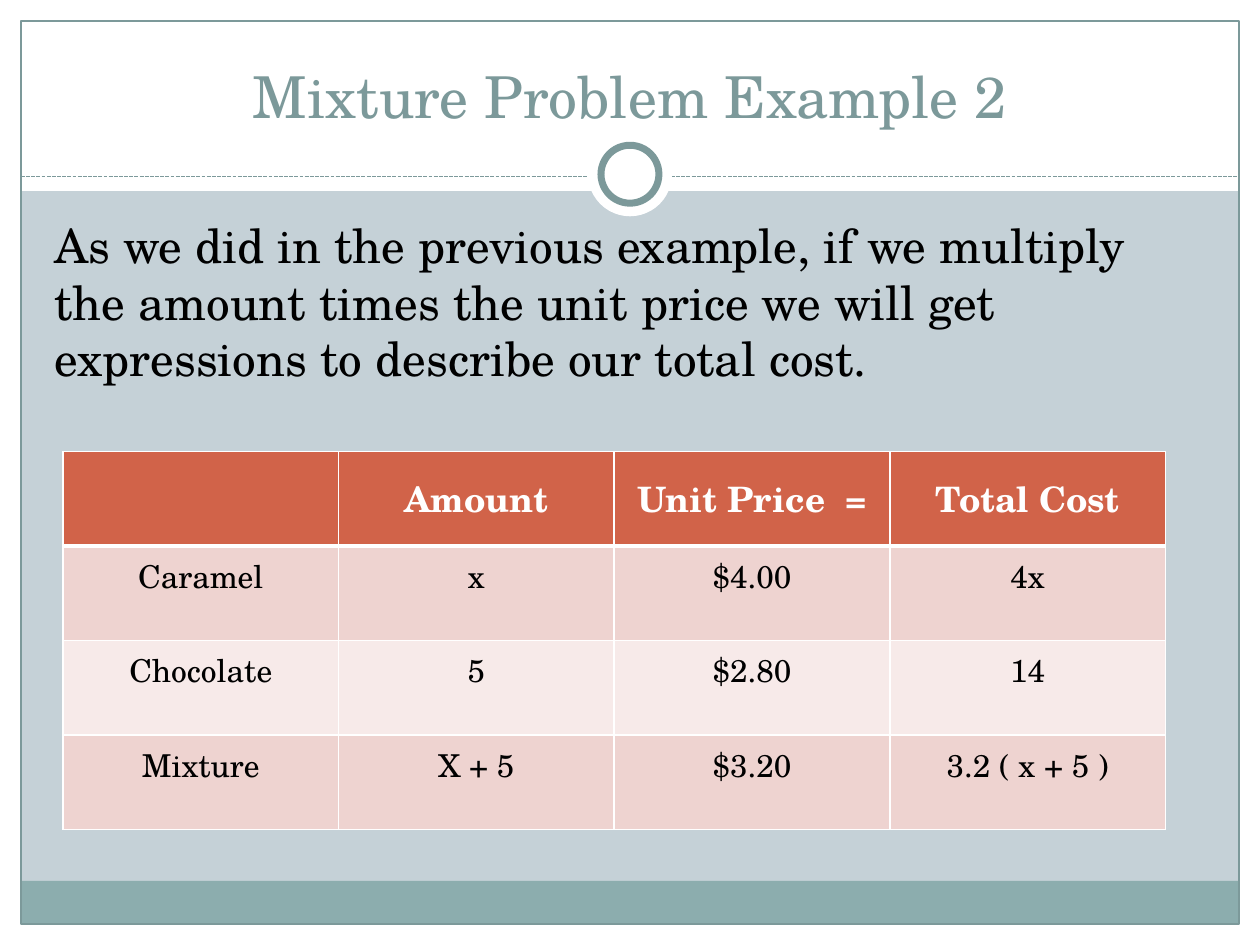
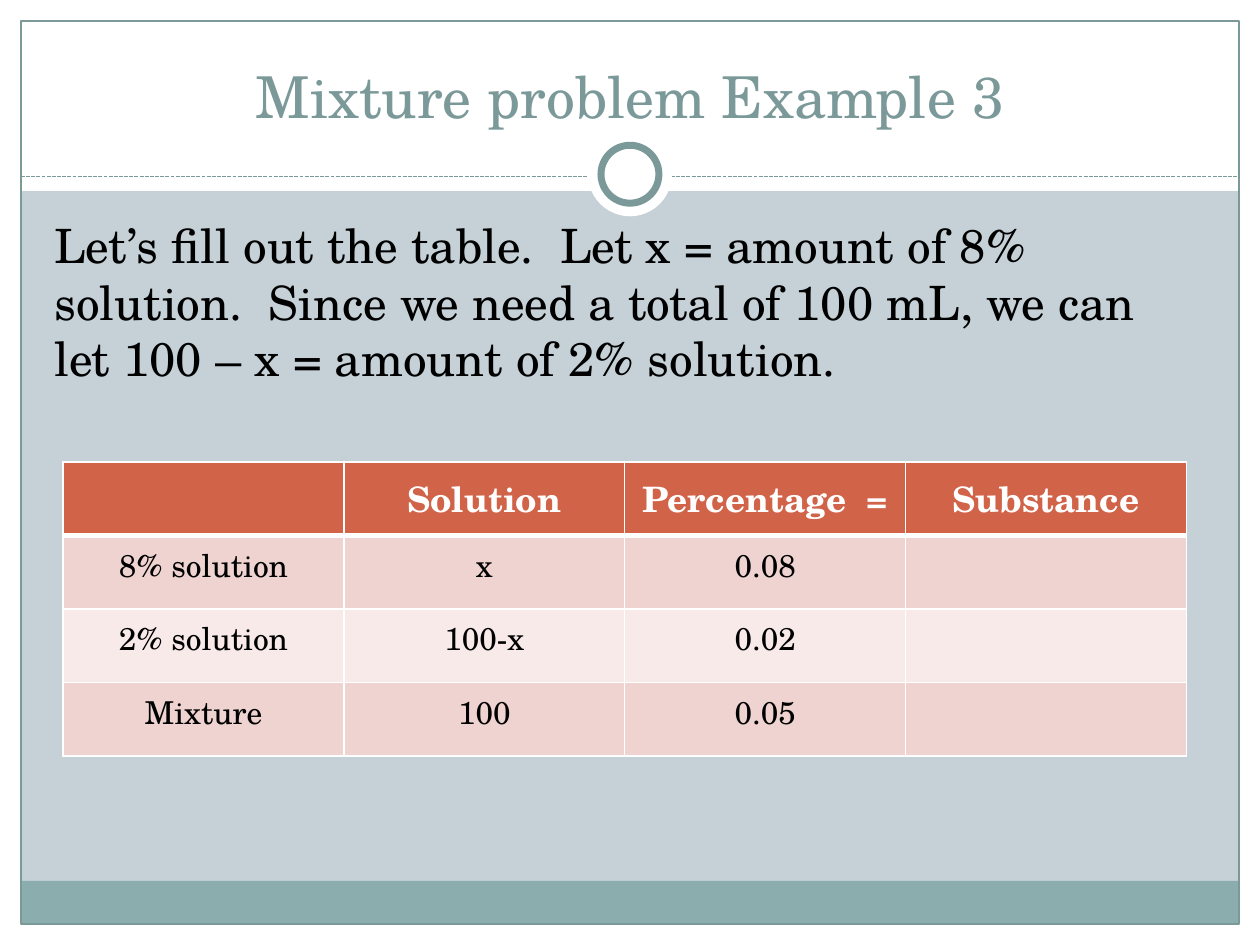
from pptx import Presentation, util as u
from pptx.dml.color import RGBColor
from pptx.enum import dml, shapes, text
from pptx.oxml import parse_xml
from pptx.oxml.ns import nsdecls

WHITE = RGBColor(0xFF, 0xFF, 0xFF)
BLACK = RGBColor(0x00, 0x00, 0x00)
PALE_BLUE = RGBColor(0xC5, 0xD1, 0xD7)
TEAL = RGBColor(0x8C, 0xAD, 0xAE)
DARK_TEAL = RGBColor(0x7C, 0x99, 0x9A)
RUST = RGBColor(0xD1, 0x63, 0x49)
ROSE = RGBColor(0xEE, 0xD3, 0xD0)
LIGHT_ROSE = RGBColor(0xF7, 0xEA, 0xE9)

FONT = "TeX Gyre Schola"
COLUMNS, ROWS = 60, 45  # square grid units over the whole slide
RECTANGLE = shapes.MSO_SHAPE.RECTANGLE
OVAL = shapes.MSO_SHAPE.OVAL

TITLE = dict(size=u.Pt(33), color=DARK_TEAL, bold=False)
BODY = dict(size=u.Pt(27), color=BLACK, bold=False)
HEADER_CELL = dict(size=u.Pt(20), color=WHITE, bold=True)
BODY_CELL = dict(size=u.Pt(18), color=BLACK, bold=False)


class Deck:
    """Holds the presentation, its style and the current slide."""

    def __init__(self):
        self.presentation = Presentation()
        self.presentation.slide_width = u.Inches(10)
        self.presentation.slide_height = u.Inches(7.5)
        self.slide = None

    def grid(self, left, top, width, height):
        """Turn grid columns and rows into slide lengths."""
        column = self.presentation.slide_width / COLUMNS
        row = self.presentation.slide_height / ROWS
        return [round(n) for n in
                (left * column, top * row, width * column, height * row)]

    def put_text(self, frame, words, style, paragraph_format):
        """Set one paragraph in the given style."""
        paragraph = frame.paragraphs[0]
        for name, value in paragraph_format.items():
            setattr(paragraph, name, value)
        run = paragraph.add_run()
        run.text = words
        run.font.color.rgb = style["color"]
        for name, value in dict(name=FONT, size=style["size"],
                                bold=style["bold"]).items():
            setattr(run.font, name, value)

    def shape(self, kind, box, fill=None, line=None, weight=0.75):
        shape = self.slide.shapes.add_shape(kind, *self.grid(*box))
        shape.shadow.inherit = False
        for part, color in ((shape.fill, fill), (shape.line.fill, line)):
            if color is None:
                part.background()
            else:
                part.solid()
                part.fore_color.rgb = color
        if line is not None:
            shape.line.width = u.Pt(weight)

    def dashed_rule(self, left, top, width):
        x, y, length, _ = self.grid(left, top, width, 0)
        rule = self.slide.shapes.add_connector(
            shapes.MSO_CONNECTOR.STRAIGHT, x, y, x + length, y)
        rule.line.color.rgb = DARK_TEAL
        rule.line.width = u.Pt(0.75)
        rule.line.dash_style = dml.MSO_LINE.SQUARE_DOT
        rule._element.spPr.append(parse_xml(f"<a:effectLst {nsdecls('a')}/>"))

    def text_box(self, box, words, style, anchor, **paragraph_format):
        frame = self.slide.shapes.add_textbox(*self.grid(*box)).text_frame
        frame.word_wrap = True
        frame.vertical_anchor = anchor
        self.put_text(frame, words, style, paragraph_format)

    def borders(self, cell, **weights):
        """Draw white cell edges; call before the fill, as the schema orders."""
        properties = cell._tc.get_or_add_tcPr()
        for side, weight in weights.items():
            properties.append(parse_xml(
                f'<a:ln{side} {nsdecls("a")} w="{u.Pt(weight)}"><a:solidFill>'
                f'<a:srgbClr val="{WHITE}"/></a:solidFill></a:ln{side}>'))

    def table(self, box, rows):
        table = self.slide.shapes.add_table(
            len(rows), len(rows[0]), *self.grid(*box)).table
        for r, row in enumerate(rows):
            header = r == 0
            fill = RUST if header else (LIGHT_ROSE, ROSE)[r % 2]
            for c, words in enumerate(row):
                cell = table.cell(r, c)
                self.borders(cell, L=1, R=1, T=3 if r == 1 else 1,
                             B=3 if header else 1)
                cell.fill.solid()
                cell.fill.fore_color.rgb = fill
                if header:
                    cell.vertical_anchor = text.MSO_ANCHOR.MIDDLE
                if words:
                    self.put_text(cell.text_frame, words,
                                  HEADER_CELL if header else BODY_CELL,
                                  dict(alignment=text.PP_ALIGN.CENTER))

    def frame(self):
        """Shared bands, outline, rule and ring."""
        # White margins and title band
        for box in ((0, 44, 60, 1), (0, 0, 60, 9.1),
                    (0, 0, 1, 45), (59, 0, 1, 45)):
            self.shape(RECTANGLE, box, WHITE)
        # Footer band, outline and rule
        self.shape(RECTANGLE, (1, 41.95, 58, 2.05), TEAL)
        self.shape(RECTANGLE, (1, 1, 58, 43), line=DARK_TEAL)
        self.dashed_rule(1, 8.4, 58)
        # Ring on its white disc
        self.shape(OVAL, (28, 6.3, 4, 4), WHITE)
        self.shape(OVAL, (28.62, 6.92, 2.76, 2.76), WHITE, DARK_TEAL, 4)

    def add_slide(self, title, body, table_box, rows):
        self.slide = self.presentation.slides.add_slide(
            self.presentation.slide_layouts[6])
        background = self.slide.background.fill
        background.solid()
        background.fore_color.rgb = PALE_BLUE
        self.frame()
        self.text_box((2, 1.5, 56, 5), title, TITLE, text.MSO_ANCHOR.BOTTOM,
                      alignment=text.PP_ALIGN.CENTER)
        self.text_box((2, 10, 55.8, 11), body, BODY, text.MSO_ANCHOR.TOP,
                      space_before=u.Pt(5.4))
        self.table(table_box, rows)


deck = Deck()

# Slide 1: total cost of the mixture
deck.add_slide(
    "Mixture Problem Example 2",
    "As we did in the previous example, if we multiply the amount times the "
    "unit price we will get expressions to describe our total cost.",
    (3, 21.5, 52.5, 18),
    [("", "Amount", "Unit Price  =", "Total Cost"),
     ("Caramel", "x", "$4.00", "4x"),
     ("Chocolate", "5", "$2.80", "14"),
     ("Mixture", "X + 5", "$3.20", "3.2 ( x + 5 )")])

# Slide 2: solution strengths, substance still open
deck.add_slide(
    "Mixture problem Example 3",
    "Let’s fill out the table.  Let x = amount of 8% solution.  Since we need "
    "a total of 100 mL, we can let 100 – x = amount of 2% solution.",
    (3, 22, 53.5, 14),
    [("", "Solution", "Percentage  =", "Substance"),
     ("8% solution", "x", "0.08", ""),
     ("2% solution", "100-x", "0.02", ""),
     ("Mixture", "100", "0.05", "")])

deck.presentation.save("out.pptx")
